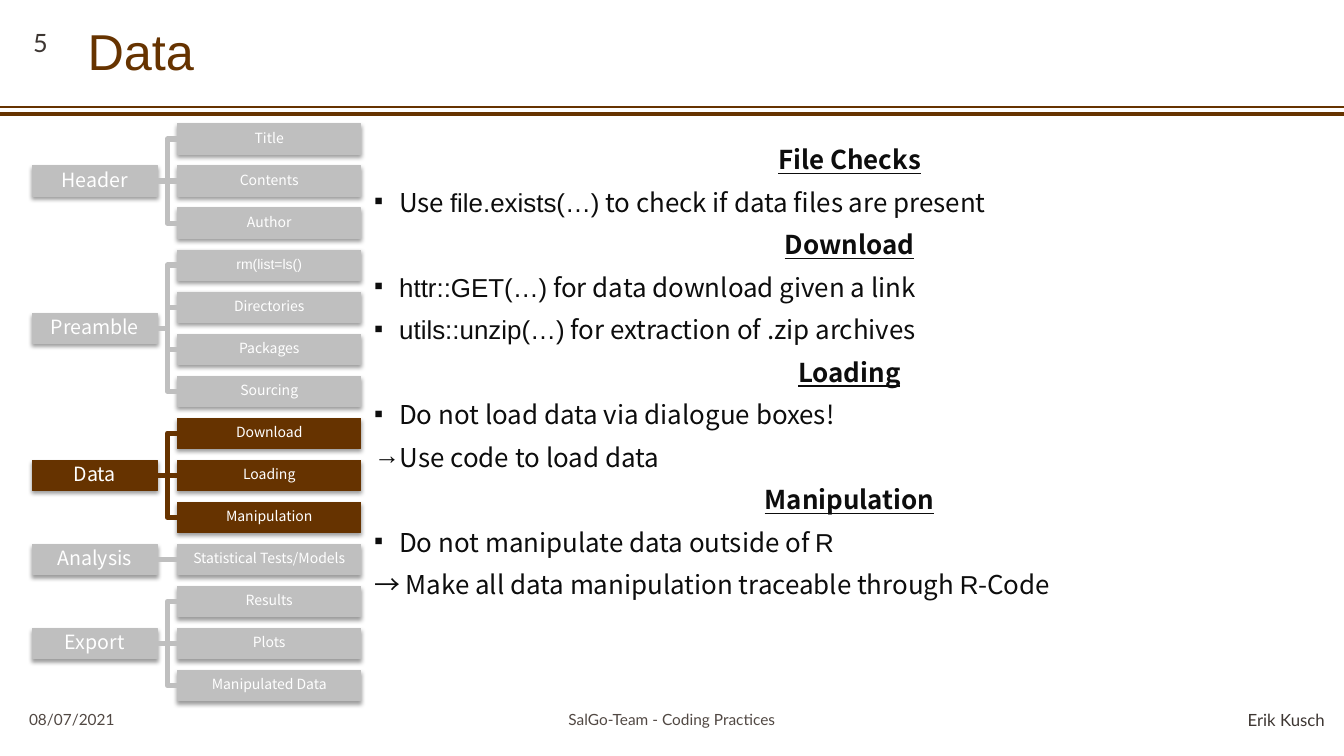
from lxml import etree
from pptx import Presentation
from pptx.dml.color import RGBColor
from pptx.enum.shapes import MSO_CONNECTOR, MSO_SHAPE
from pptx.enum.text import MSO_ANCHOR, PP_ALIGN
from pptx.oxml.ns import qn
from pptx.util import Inches, Pt

BROWN = RGBColor(0x66, 0x33, 0x00)
GREY = RGBColor(0xBF, 0xBF, 0xBF)
WHITE = RGBColor(0xFF, 0xFF, 0xFF)
INK = RGBColor(0x0D, 0x0D, 0x0D)
DARK = RGBColor(0x3D, 0x36, 0x32)
SOFT = RGBColor(0x51, 0x48, 0x43)
SANS, CODE, LATO = "Noto Sans CJK SC", "Arial", "Lato"
LEFT, MID, RIGHT = PP_ALIGN.LEFT, PP_ALIGN.CENTER, PP_ALIGN.RIGHT

TOP, STEP, HIGH = 1.23, (6.65 - 1.23) / 13, 0.3
STAGE_X, STAGE_W = 0.32, 1.24
STEP_X, STEP_W = 1.76, 1.82

STAGES = [
    ("Header", GREY, ["Title", "Contents", "Author"]),
    ("Preamble", GREY, ["rm(list=ls()", "Directories", "Packages", "Sourcing"]),
    ("Data", BROWN, ["Download", "Loading", "Manipulation"]),
    ("Analysis", GREY, ["Statistical Tests/Models"]),
    ("Export", GREY, ["Results", "Plots", "Manipulated Data"]),
]

# Each line: mark ("head", a bullet, or None) and its runs of (text, font)
NOTES = [
    ("head", [("File Checks", SANS)]),
    ("▪", [("Use ", SANS), ("file.exists(…)", CODE),
           (" to check if data files are present", SANS)]),
    ("head", [("Download", SANS)]),
    ("▪", [("httr::GET(…)", CODE), (" for data download given a link", SANS)]),
    ("▪", [("utils::unzip(…)", CODE), (" for extraction of .zip archives", SANS)]),
    ("head", [("Loading", SANS)]),
    ("▪", [("Do not load data via dialogue boxes!", SANS)]),
    ("→", [("Use code to load data", SANS)]),
    ("head", [("Manipulation", SANS)]),
    ("▪", [("Do not manipulate data outside of ", SANS), ("R", CODE)]),
    (None, [("→ Make all data manipulation traceable through ", SANS),
            ("R", CODE), ("-Code", SANS)]),
]


class Board:
    def __init__(self, slide):
        self.shapes = slide.shapes

    def run(self, para, text, size, color, font, bold=False):
        run = para.add_run()
        run.text = text
        run.font.size, run.font.name = Pt(size), font
        run.font.color.rgb = color
        run.font.bold = run.font.underline = bold

    def frame(self, shape, pad, anchor=MSO_ANCHOR.MIDDLE):
        """Set wrapping, side and top insets, and anchor of a text frame."""
        frame = shape.text_frame
        frame.word_wrap = True
        frame.vertical_anchor = anchor
        frame.margin_left = frame.margin_right = Inches(pad[0])
        frame.margin_top = frame.margin_bottom = Inches(pad[1])
        return frame

    def label(self, text, at, size, color, font=LATO, align=LEFT, pad=0.1):
        box = self.shapes.add_textbox(*map(Inches, at))
        para = self.frame(box, (pad, 0.05)).paragraphs[0]
        para.alignment = align
        para.line_spacing = 0.9
        self.run(para, text, size, color, font)

    def rule(self, y, width):
        line = self.shapes.add_connector(
            MSO_CONNECTOR.STRAIGHT, 0, Inches(y), Inches(13.33), Inches(y))
        self.stroke(line, BROWN, width)

    def stroke(self, line, color, width):
        """Colour a connector and drop its shadow."""
        line.line.color.rgb, line.line.width = color, Pt(width)
        etree.SubElement(line._element.spPr, qn("a:effectLst"))

    def box(self, text, at, size, color, font=SANS):
        box = self.shapes.add_shape(MSO_SHAPE.RECTANGLE, *map(Inches, at))
        box.fill.solid()
        box.fill.fore_color.rgb = box.line.color.rgb = color
        box.line.width = Pt(0.75)
        self.shade(box)
        para = self.frame(box, (0.01, 0.01)).paragraphs[0]
        para.alignment = MID
        para.line_spacing = 0.9
        self.run(para, text, size, WHITE, font)
        return box

    def shade(self, shape):
        """Give the shape a soft shadow straight below."""
        shape.shadow.inherit = False
        effects = shape._element.spPr.find(qn("a:effectLst"))
        outer = etree.SubElement(
            effects, qn("a:outerShdw"), blurRad=str(Pt(3.1)), dist=str(Pt(2)),
            dir="5400000", algn="ctr", rotWithShape="0")
        black = etree.SubElement(outer, qn("a:srgbClr"), val="000000")
        etree.SubElement(black, qn("a:alpha"), val="38000")

    def link(self, stage, step, color):
        """Join stage to step: straight when level, else with an elbow."""
        x, end = stage.left + stage.width, step.left
        y, goal = stage.top + stage.height // 2, step.top + step.height // 2
        if abs(y - goal) < Inches(0.01):
            line = self.shapes.add_connector(MSO_CONNECTOR.STRAIGHT, x, y, end, goal)
            line.begin_connect(stage, 3)
            line.end_connect(step, 1)
            self.stroke(line, color, 3.78)
            return
        bend = (x + end) // 2
        pen = self.shapes.build_freeform(x, y)
        pen.add_line_segments([(bend, y), (bend, goal), (end, goal)], close=False)
        elbow = pen.convert_to_shape()
        elbow.shadow.inherit = False
        elbow.fill.background()
        elbow.line.color.rgb, elbow.line.width = color, Pt(3.78)

    def bullet(self, para, mark):
        props = para._p.get_or_add_pPr()
        props.set("marL", str(Inches(0.25)))
        props.set("indent", str(-Inches(0.25)))
        etree.SubElement(props, qn("a:buFont"), typeface=CODE)
        etree.SubElement(props, qn("a:buChar"), char=mark)

    def notes(self, lines, at):
        box = self.shapes.add_textbox(*map(Inches, at))
        frame = self.frame(box, (0, 0.05), MSO_ANCHOR.TOP)
        for i, (mark, runs) in enumerate(lines):
            para = frame.add_paragraph() if i else frame.paragraphs[0]
            head = mark == "head"
            para.alignment = MID if head else LEFT
            para.line_spacing = 0.7
            para.space_before = Pt(14.8)
            if mark and not head:
                self.bullet(para, mark)
            for text, font in runs:
                self.run(para, text, 18.5, INK, font, head)

    def tree(self, stages):
        row = 0
        for name, color, steps in stages:
            mean = row + (len(steps) - 1) / 2
            stage = self.box(
                name, (STAGE_X, TOP + mean * STEP, STAGE_W, HIGH), 14, color)
            for text in steps:
                font = CODE if "(" in text else SANS
                step = self.box(
                    text, (STEP_X, TOP + row * STEP, STEP_W, HIGH), 10, color, font)
                self.link(stage, step, color)
                row += 1


def main():
    deck = Presentation()
    deck.slide_width, deck.slide_height = Inches(13.33), Inches(7.5)
    board = Board(deck.slides.add_slide(deck.slide_layouts[6]))
    board.label("5", (0.19, 0.23, 0.42, 0.41), 18, DARK, align=MID, pad=0)
    board.label("Data", (0.77, 0.08, 12.37, 0.91), 36, BROWN, CODE)
    board.rule(1.13, 3)
    board.rule(1.06, 1)
    board.tree(STAGES)
    board.notes(NOTES, (3.71, 1.46, 9.43, 5.29))
    board.label("08/07/2021", (0.19, 6.95, 2, 0.4), 11, SOFT)
    board.label("SalGo-Team - Coding Practices", (2.38, 6.95, 8.57, 0.4),
                11, SOFT, align=MID)
    board.label("Erik Kusch", (11.14, 6.95, 2, 0.4), 12, DARK, align=RIGHT, pad=0)
    deck.save("out.pptx")


if __name__ == "__main__":
    main()
